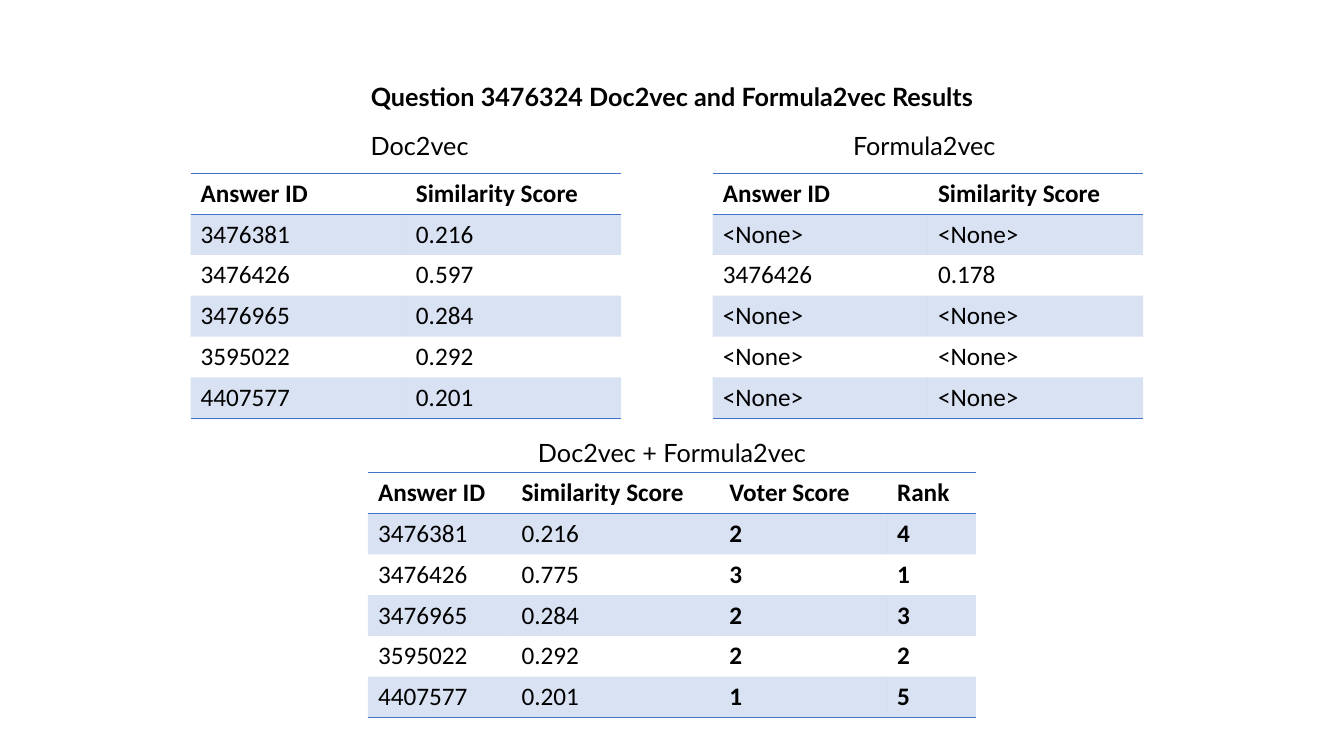
from collections import namedtuple

from lxml import etree
from pptx import Presentation
from pptx.dml.color import RGBColor
from pptx.enum.text import MSO_AUTO_SIZE, PP_ALIGN
from pptx.oxml.ns import qn
from pptx.util import Inches, Pt

CENTER = PP_ALIGN.CENTER
LEFT = PP_ALIGN.LEFT
GROW = MSO_AUTO_SIZE.SHAPE_TO_FIT_TEXT

BLACK = RGBColor(0x00, 0x00, 0x00)
BLUE = RGBColor(0x44, 0x72, 0xC4)
BAND_ALPHA = 20000
PLAIN_STYLE = "{2D5ABB26-0587-4C30-8999-92F81FD0307C}"

SLIDE_WIDTH = Inches(13.33)
SLIDE_HEIGHT = Inches(7.5)
HEADING_FONT = "Lato"
TABLE_FONT = "Calibri"

MARGIN = 12.45
COLUMN = 37.55
TEXT_HEIGHT = 5.39
TABLE_HEIGHT = 32.4

Box = namedtuple("Box", "left top width height")

ANSWERS = ["3476381", "3476426", "3476965", "3595022", "4407577"]
DOC_SCORES = ["0.216", "0.597", "0.284", "0.292", "0.201"]
TOTAL_SCORES = ["0.216", "0.775", "0.284", "0.292", "0.201"]
VOTES = ["2", "3", "2", "2", "1"]
RANKS = ["4", "1", "3", "2", "5"]
NONE = "<None>"
HEADER = ["Answer ID", "Similarity Score"]

DOC_ROWS = [HEADER, *zip(ANSWERS, DOC_SCORES)]
FORMULA_ROWS = [HEADER] + [
    [answer, "0.178"] if answer == "3476426" else [NONE, NONE] for answer in ANSWERS
]
TOTAL_ROWS = [
    HEADER + ["Voter Score", "Rank"],
    *zip(ANSWERS, TOTAL_SCORES, VOTES, RANKS),
]


def place(box):
    return (
        round(SLIDE_WIDTH * box.left / 100),
        round(SLIDE_HEIGHT * box.top / 100),
        round(SLIDE_WIDTH * box.width / 100),
        round(SLIDE_HEIGHT * box.height / 100),
    )


def write(frame, text, font=TABLE_FONT, size=18, bold=False, align=LEFT):
    para = frame.paragraphs[0]
    para.alignment = align
    span = para.add_run()
    span.text = text
    span.font.name = font
    span.font.size = Pt(size)
    span.font.bold = bold
    span.font.color.rgb = BLACK


def add_heading(page, box, text, bold=False):
    frame = page.shapes.add_textbox(*place(box)).text_frame
    frame.word_wrap = True
    frame.auto_size = GROW
    write(frame, text, font=HEADING_FONT, bold=bold, align=CENTER)


def add_rule(cell, side):
    properties = cell._tc.get_or_add_tcPr()
    line = etree.SubElement(properties, qn(f"a:{side}"), w=str(Pt(1)))
    fill = etree.SubElement(line, qn("a:solidFill"))
    etree.SubElement(fill, qn("a:srgbClr"), val=str(BLUE))


def fill_cell(cell, banded):
    if not banded:
        cell.fill.background()
        return
    cell.fill.solid()
    cell.fill.fore_color.rgb = BLUE
    color = cell._tc.tcPr.find(f"{qn('a:solidFill')}/{qn('a:srgbClr')}")
    etree.SubElement(color, qn("a:alpha"), val=str(BAND_ALPHA))


def add_results(page, box, rows, column_shares):
    frame = page.shapes.add_table(len(rows), len(rows[0]), *place(box))
    table = frame.table
    table.first_row = False
    table.horz_banding = False
    table._tbl.tblPr.find(qn("a:tableStyleId")).text = PLAIN_STYLE
    for column, share in zip(table.columns, column_shares):
        column.width = round(SLIDE_WIDTH * box.width / 100 * share)
    for r, row in enumerate(rows):
        for c, text in enumerate(row):
            cell = table.cell(r, c)
            write(cell.text_frame, text, bold=r == 0 or c >= 2)
            if r == 0:
                add_rule(cell, "lnT")
            if r in (0, len(rows) - 1):
                add_rule(cell, "lnB")
            fill_cell(cell, banded=r % 2 == 1)


def add_panel(page, box, caption, caption_left, rows, column_shares):
    add_heading(page, Box(caption_left, box.top, COLUMN, TEXT_HEIGHT), caption)
    table_top = box.top + box.height - TABLE_HEIGHT
    table_box = Box(box.left, table_top, box.width, TABLE_HEIGHT)
    add_results(page, table_box, rows, column_shares)


def main():
    deck = Presentation()
    deck.slide_width = SLIDE_WIDTH
    deck.slide_height = SLIDE_HEIGHT
    page = deck.slides.add_slide(deck.slide_layouts[6])

    add_heading(
        page,
        Box(MARGIN, 10.13, 2 * COLUMN, TEXT_HEIGHT),
        "Question 3476324 Doc2vec and Formula2vec Results",
        bold=True,
    )
    halves = [0.5, 0.5]
    add_panel(page, Box(14.18, 16.53, 32.03, 38.8), "Doc2vec", MARGIN, DOC_ROWS, halves)
    add_panel(
        page, Box(53.03, 16.53, 32.03, 38.8), "Formula2vec",
        MARGIN + COLUMN, FORMULA_ROWS, halves,
    )
    add_panel(
        page, Box(27.38, 57.2, 45.23, 37.73), "Doc2vec + Formula2vec",
        MARGIN + COLUMN / 2, TOTAL_ROWS, [0.236, 0.342, 0.276, 0.146],
    )
    deck.save("out.pptx")


if __name__ == "__main__":
    main()
